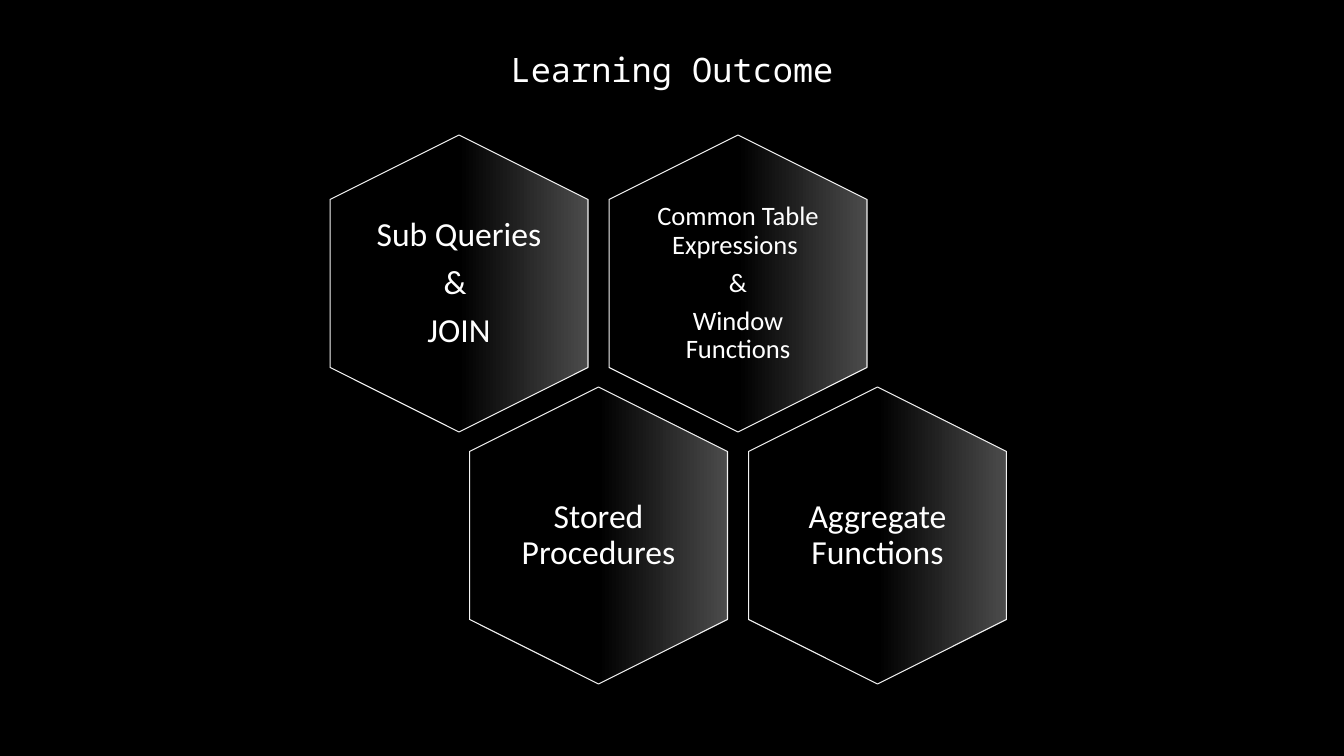
from lxml import etree
from pptx import Presentation
from pptx.dml.color import RGBColor
from pptx.enum.shapes import MSO_SHAPE
from pptx.enum.text import MSO_ANCHOR, PP_ALIGN
from pptx.oxml.ns import qn
from pptx.util import Pt

HEX = MSO_SHAPE.HEXAGON
MID = MSO_ANCHOR.MIDDLE
CENTER = PP_ALIGN.CENTER

WIDE, HIGH = 1344, 756
SCALE = 12192000 / WIDE
COLORS = {"back": "000000", "glow": "4B4B4B", "edge": "F2F2F2", "text": "FFFFFF"}

# Hexagon grid: length tip to tip, width, and the steps between centers
LONG, SHORT = 297, 258
STEP_X, STEP_Y = 279, 252
LABEL_W, LABEL_H = 178, 205

# Lines, size in points, inset in px; each row shifts right by half a step
ROWS = [
    [(["Sub Queries", "& ", "JOIN"], 24, 0),
     (["Common Table Expressions ", "&", "Window Functions"], 19, 8)],
    [(["Stored Procedures"], 24, 10),
     (["Aggregate Functions"], 24, 0)],
]


def px(n):
    return round(n * SCALE)


def color(name):
    return RGBColor.from_string(COLORS[name])


def text(slide, box, lines, size=24, font="Calibri", inset=0, after=0):
    frame = slide.shapes.add_textbox(*map(px, box)).text_frame
    frame.word_wrap = True
    frame.vertical_anchor = MID
    frame.margin_left = frame.margin_right = px(inset)
    frame.margin_top = frame.margin_bottom = px(inset)
    for i, line in enumerate(lines):
        para = frame.add_paragraph() if i else frame.paragraphs[0]
        para.alignment = CENTER
        para.line_spacing = 0.9
        para.space_after = Pt(after)
        run = para.add_run()
        run.text = line
        run.font.size = Pt(size)
        run.font.name = font
        run.font.color.rgb = color("text")


def fade(shape):
    """Fill with a glow that turns black at the middle."""
    shape.fill.gradient()
    grad = shape.fill._xPr.find(qn("a:gradFill"))
    grad.set("rotWithShape", "1")
    for child in list(grad):
        grad.remove(child)
    stops = etree.SubElement(grad, qn("a:gsLst"))
    for pos, name in ((0, "glow"), (50000, "back"), (100000, "back")):
        stop = etree.SubElement(stops, qn("a:gs"), pos=str(pos))
        etree.SubElement(stop, qn("a:srgbClr"), val=COLORS[name])
    etree.SubElement(grad, qn("a:lin"), ang="5400000", scaled="0")


def cell(slide, mid_x, mid_y, lines, size, inset):
    # Hexagon standing on its tip
    box = (mid_x - LONG / 2, mid_y - SHORT / 2, LONG, SHORT)
    shape = slide.shapes.add_shape(HEX, *map(px, box))
    shape.rotation = 90
    shape.adjustments[0] = 0.25
    shape.shadow.inherit = False
    fade(shape)
    shape.line.color.rgb = color("edge")
    shape.line.width = Pt(0.75)
    # Upright label
    box = (mid_x - LABEL_W / 2, mid_y - LABEL_H / 2, LABEL_W, LABEL_H)
    text(slide, box, lines, size=size, inset=inset, after=0.35 * size)


def comb(slide, left, top):
    for r, row in enumerate(ROWS):
        for c, (lines, size, inset) in enumerate(row):
            mid_x = left + SHORT / 2 + (c + r / 2) * STEP_X
            mid_y = top + LONG / 2 + r * STEP_Y
            cell(slide, mid_x, mid_y, lines, size, inset)


def main():
    deck = Presentation()
    deck.slide_width, deck.slide_height = px(WIDE), px(HIGH)
    slide = deck.slides.add_slide(deck.slide_layouts[6])
    fill = slide.background.fill
    fill.solid()
    fill.fore_color.rgb = color("back")
    # Title and honeycomb
    text(slide, (47, -2, 1250, 147), ["Learning Outcome"], font="Noto Sans Mono")
    comb(slide, 330, 135)
    deck.save("out.pptx")


if __name__ == "__main__":
    main()
